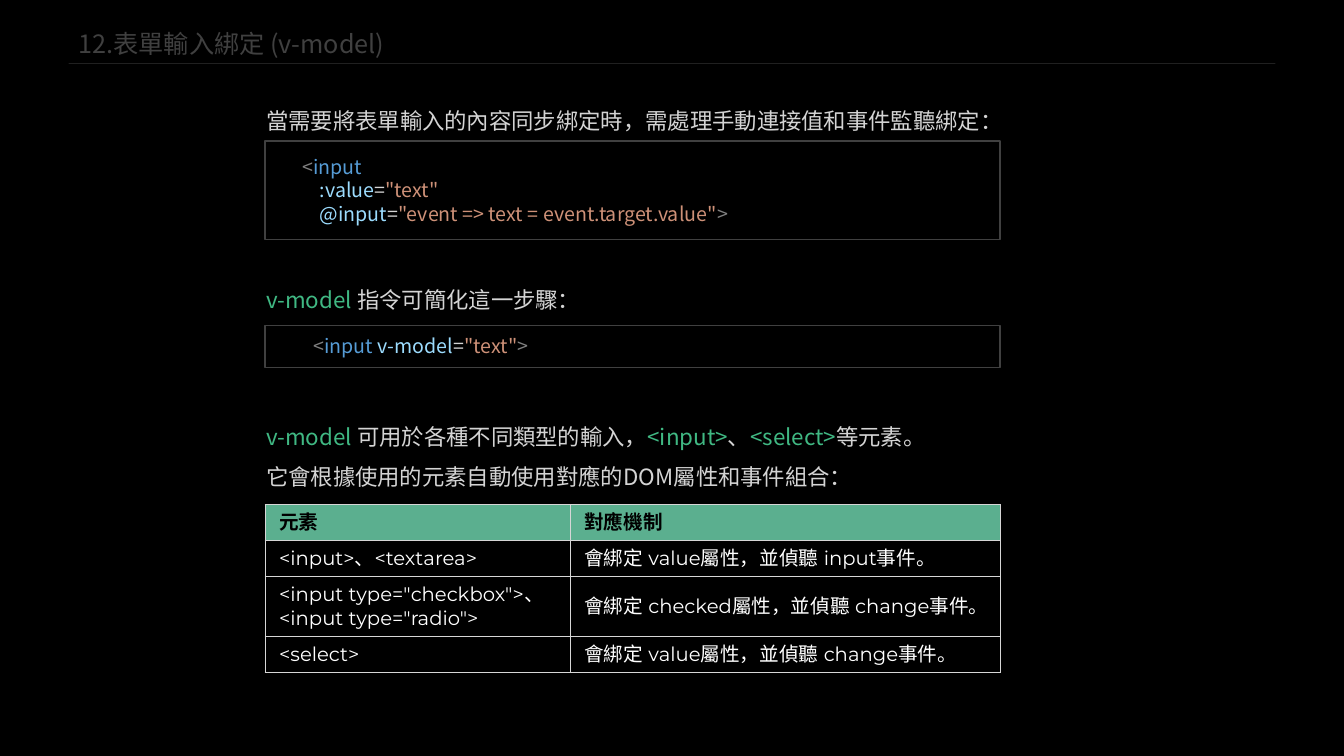
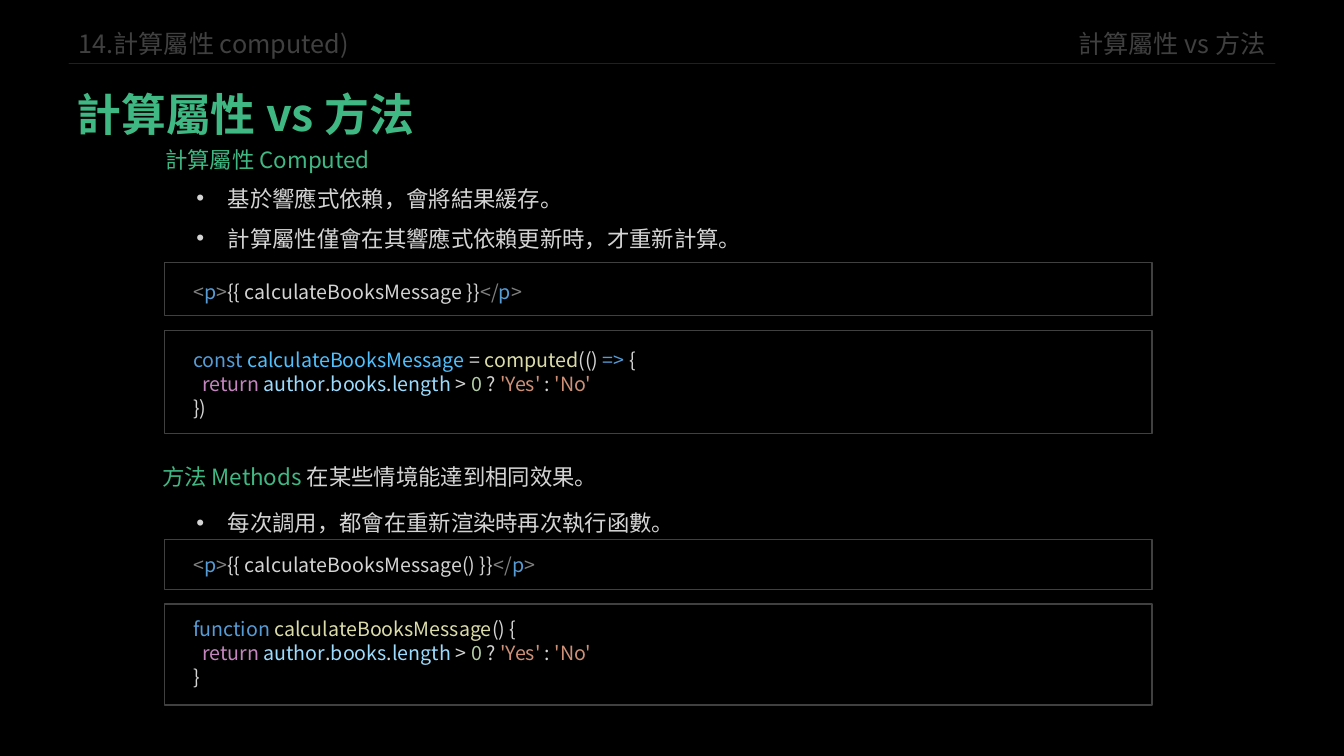
from dataclasses import dataclass

import pptx
import pptx.dml.color
import pptx.enum.shapes
import pptx.enum.text
import pptx.oxml
import pptx.oxml.ns
import pptx.util

Pt = pptx.util.Pt
qn = pptx.oxml.ns.qn


@dataclass(frozen=True)
class Theme:
    font: str = "Noto Sans CJK TC"
    table_font: str = "Montserrat"
    background: str = "000000"
    muted: str = "404040"
    accent: str = "40B883"
    text: str = "D4D4D4"
    table_header: str = "5BAF8F"
    table_text: str = "FFFFFF"
    table_border: str = "D6D6D6"
    # Code colours
    bracket: str = "808080"
    keyword: str = "569CD6"
    control: str = "C586C0"
    variable: str = "9CDCFE"
    constant: str = "4FC1FF"
    function: str = "DCDCAA"
    string: str = "CE9178"
    number: str = "B5CEA8"
    # Type sizes and line heights
    title_size: float = 32
    title_line: float = 60
    header_size: float = 18
    header_line: float = 22
    body_size: float = 16
    label_line: float = 20.5
    body_line: float = 28.6
    code_size: float = 14
    code_line: float = 17


THEME = Theme()

INPUT_CODE = [
    [("<", THEME.bracket), ("input", THEME.keyword)],
    [("    :value", THEME.variable), ("=", THEME.text), ('"text"', THEME.string)],
    [("    @input", THEME.variable), ("=", THEME.text),
     ('"event => text = event.target.value"', THEME.string), (">", THEME.bracket)],
]
MODEL_CODE = [
    [("<", THEME.bracket), ("input ", THEME.keyword), ("v-model", THEME.variable),
     ("=", THEME.text), ('"text"', THEME.string), (">", THEME.bracket)],
]
RETURN_LINE = [
    ("  return ", THEME.control), ("author", THEME.variable), (".", THEME.text),
    ("books", THEME.variable), (".", THEME.text), ("length", THEME.variable),
    (" > ", THEME.text), ("0", THEME.number), (" ? ", THEME.text),
    ("'Yes'", THEME.string), (" : ", THEME.text), ("'No'", THEME.string),
]
COMPUTED_CODE = [
    [("const ", THEME.keyword), ("calculateBooksMessage", THEME.constant),
     (" = ", THEME.text), ("computed", THEME.function), ("(() ", THEME.text),
     ("=>", THEME.keyword), (" {", THEME.text)],
    RETURN_LINE,
    [("})", THEME.text)],
]
METHOD_CODE = [
    [("function ", THEME.keyword), ("calculateBooksMessage", THEME.function),
     ("() {", THEME.text)],
    RETURN_LINE,
    [("}", THEME.text)],
]
BINDING_ROWS = [
    ("元素", "對應機制"),
    ("<input>、<textarea>", "會綁定 value屬性，並偵聽 input事件。"),
    ('<input type="checkbox">、\n<input type="radio">',
     "會綁定 checked屬性，並偵聽 change事件。"),
    ("<select>", "會綁定 value屬性，並偵聽 change事件。"),
]


def template_code(expression):
    """Tokens of a paragraph element that shows an expression."""
    return [[("<", THEME.bracket), ("p", THEME.keyword), (">", THEME.bracket),
             ("{{ " + expression + " }}", THEME.text),
             ("</", THEME.bracket), ("p", THEME.keyword), (">", THEME.bracket)]]


def rgb(colour):
    return pptx.dml.color.RGBColor.from_string(colour)


def format_run(run, colour, size, font=THEME.font, bold=False):
    run.font.size = Pt(size)
    run.font.bold = bold
    run.font.color.rgb = rgb(colour)
    run.font.name = font
    east_asian = run.font._element.makeelement(qn("a:ea"), {"typeface": font})
    run.font._element.append(east_asian)


def add_bullet(paragraph):
    properties = paragraph._p.get_or_add_pPr()
    properties.set("marL", str(Pt(22.5)))
    properties.set("indent", str(-Pt(22.5)))
    properties.append(properties.makeelement(qn("a:buFont"), {"typeface": "Arial"}))
    properties.append(properties.makeelement(qn("a:buChar"), {"char": "•"}))


def add_text(slide, box, lines, size, line_height, bold=False, bullets=False,
             alignment=pptx.enum.text.PP_ALIGN.LEFT):
    """Place lines, each a list of (text, colour) runs, in a box."""
    frame = slide.shapes.add_textbox(*map(Pt, box)).text_frame
    frame.word_wrap = True
    for index, line in enumerate(lines):
        paragraph = frame.add_paragraph() if index else frame.paragraphs[0]
        if bullets:
            add_bullet(paragraph)
        paragraph.alignment = alignment
        paragraph.line_spacing = Pt(line_height)
        for text, colour in line:
            run = paragraph.add_run()
            run.text = text
            format_run(run, colour, size, bold=bold)


def add_label(slide, left, top, runs):
    add_text(slide, (left, top, 544, 27), [runs], THEME.body_size, THEME.label_line)


def add_bullets(slide, left, top, items):
    box = (left, top, 480, 7.2 + THEME.body_line * len(items))
    add_text(slide, box, [[(item, THEME.text)] for item in items],
             THEME.body_size, THEME.body_line, bullets=True)


def add_code_panel(slide, box, code, indent, offset):
    """Outlined panel; the code starts at indent and offset from its corner."""
    left, top, width, height = box
    panel = slide.shapes.add_shape(
        pptx.enum.shapes.MSO_SHAPE.RECTANGLE, *map(Pt, box))
    panel.shadow.inherit = False
    panel.fill.background()
    panel.line.color.rgb = rgb(THEME.muted)
    panel.line.width = Pt(1)
    text_box = (left + indent, top + offset, width - indent - 6,
                7.2 + THEME.code_line * len(code))
    add_text(slide, text_box, code, THEME.code_size, THEME.code_line)


def add_header(slide, chapter, section=None):
    left, right, rule_top = 49, 911, 45.4
    add_text(slide, (left, 16, 400, 28), [[(chapter, THEME.muted)]],
             THEME.header_size, THEME.header_line)
    if section:
        add_text(slide, (right - 255, 16, 255, 29), [[(section, THEME.muted)]],
                 THEME.header_size, THEME.header_line,
                 alignment=pptx.enum.text.PP_ALIGN.RIGHT)
    rule = slide.shapes.add_connector(
        pptx.enum.shapes.MSO_CONNECTOR.STRAIGHT,
        Pt(left), Pt(rule_top), Pt(right), Pt(rule_top))
    rule.line.color.rgb = rgb(THEME.muted)
    rule.line.width = Pt(0.5)
    colour = rule._element.spPr.find(".//" + qn("a:srgbClr"))
    colour.append(colour.makeelement(qn("a:alpha"), {"val": "50000"}))
    rule._element.spPr.append(
        rule._element.makeelement(qn("a:effectLst"), {}))


def add_cell_borders(cell):
    properties = cell._tc.get_or_add_tcPr()
    for side in ("lnL", "lnR", "lnT", "lnB"):
        properties.append(pptx.oxml.parse_xml(
            f'<a:{side} xmlns:a="http://schemas.openxmlformats.org/drawingml/2006/main"'
            f' w="{Pt(0.75)}"><a:solidFill><a:srgbClr val="{THEME.table_border}"/>'
            f'</a:solidFill></a:{side}>'))


def add_table(slide, left, top, column_widths, row_heights, rows):
    table = slide.shapes.add_table(
        len(rows), len(column_widths), Pt(left), Pt(top),
        Pt(sum(column_widths)), Pt(sum(row_heights))).table
    table.horz_banding = False
    for column, width in zip(table.columns, column_widths):
        column.width = Pt(width)
    for row_index, (height, texts) in enumerate(zip(row_heights, rows)):
        table.rows[row_index].height = Pt(height)
        is_header = row_index == 0
        for column_index, text in enumerate(texts):
            cell = table.cell(row_index, column_index)
            add_cell_borders(cell)
            if is_header:
                cell.fill.solid()
                cell.fill.fore_color.rgb = rgb(THEME.table_header)
            else:
                cell.fill.background()
            cell.margin_left = cell.margin_right = Pt(10)
            cell.margin_top = cell.margin_bottom = Pt(4.3)
            cell.vertical_anchor = pptx.enum.text.MSO_ANCHOR.MIDDLE
            cell.text_frame.text = text
            colour = THEME.background if is_header else THEME.table_text
            for paragraph in cell.text_frame.paragraphs:
                for run in paragraph.runs:
                    format_run(run, colour, THEME.code_size,
                               THEME.table_font, is_header)


def new_slide(presentation):
    slide = presentation.slides.add_slide(presentation.slide_layouts[6])
    slide.background.fill.solid()
    slide.background.fill.fore_color.rgb = rgb(THEME.background)
    return slide


def build_form_binding(presentation):
    slide = new_slide(presentation)
    left, width = 189.4, 525
    text_left = left - 6.4
    add_header(slide, "12.表單輸入綁定 (v-model)")
    add_label(slide, text_left, 72,
              [("當需要將表單輸入的內容同步綁定時，需處理手動連接值和事件監聽綁定：", THEME.text)])
    add_code_panel(slide, (left, 100.8, width, 70.4), INPUT_CODE, 19.4, 5.8)
    add_label(slide, text_left, 199.4,
              [("v-model ", THEME.accent), ("指令可簡化這一步驟：", THEME.text)])
    add_code_panel(slide, (left, 232.5, width, 30), MODEL_CODE, 27.4, 2.2)
    usage = [
        [("v-model ", THEME.accent), ("可用於各種不同類型的輸入，", THEME.text),
         ("<input>", THEME.accent), ("、", THEME.text),
         ("<select>", THEME.accent), ("等元素。", THEME.text)],
        [("它會根據使用的元素自動使用對應的DOM屬性和事件組合：", THEME.text)],
    ]
    add_text(slide, (text_left, 289, 532, 64), usage,
             THEME.body_size, THEME.body_line)
    add_table(slide, left, 360.5, (218, 307), (25.7, 25.7, 42.8, 25.7), BINDING_ROWS)


def build_computed_or_method(presentation):
    slide = new_slide(presentation)
    left, width, indent = 117.4, 705.6, 13.6
    bullet_left = left + 15.8
    topic = "計算屬性 vs 方法"
    add_header(slide, "14.計算屬性 computed)", topic)
    add_text(slide, (47.5, 36.7, 769, 67), [[(topic, THEME.accent)]],
             THEME.title_size, THEME.title_line, bold=True)
    add_label(slide, 111, 99.4, [("計算屬性 Computed", THEME.accent)])
    add_bullets(slide, bullet_left, 119,
                ["基於響應式依賴，會將結果緩存。",
                 "計算屬性僅會在其響應式依賴更新時，才重新計算。"])
    add_label(slide, 108.7, 326.2,
              [("方法 Methods ", THEME.accent),
               ("在某些情境能達到相同效果。", THEME.text)])
    add_bullets(slide, bullet_left, 351, ["每次調用，都會在重新渲染時再次執行函數。"])
    panels = [
        (187.4, 38, template_code("calculateBooksMessage"), 8.6),
        (236.2, 73.4, COMPUTED_CODE, 8.6),
        (385.4, 35.6, template_code("calculateBooksMessage()"), 5.8),
        (431.4, 72.2, METHOD_CODE, 5.8),
    ]
    for top, height, code, offset in panels:
        add_code_panel(slide, (left, top, width, height), code, indent, offset)


def main():
    presentation = pptx.Presentation()
    presentation.slide_width = Pt(960)
    presentation.slide_height = Pt(540)
    build_form_binding(presentation)
    build_computed_or_method(presentation)
    presentation.save("out.pptx")


if __name__ == "__main__":
    main()
